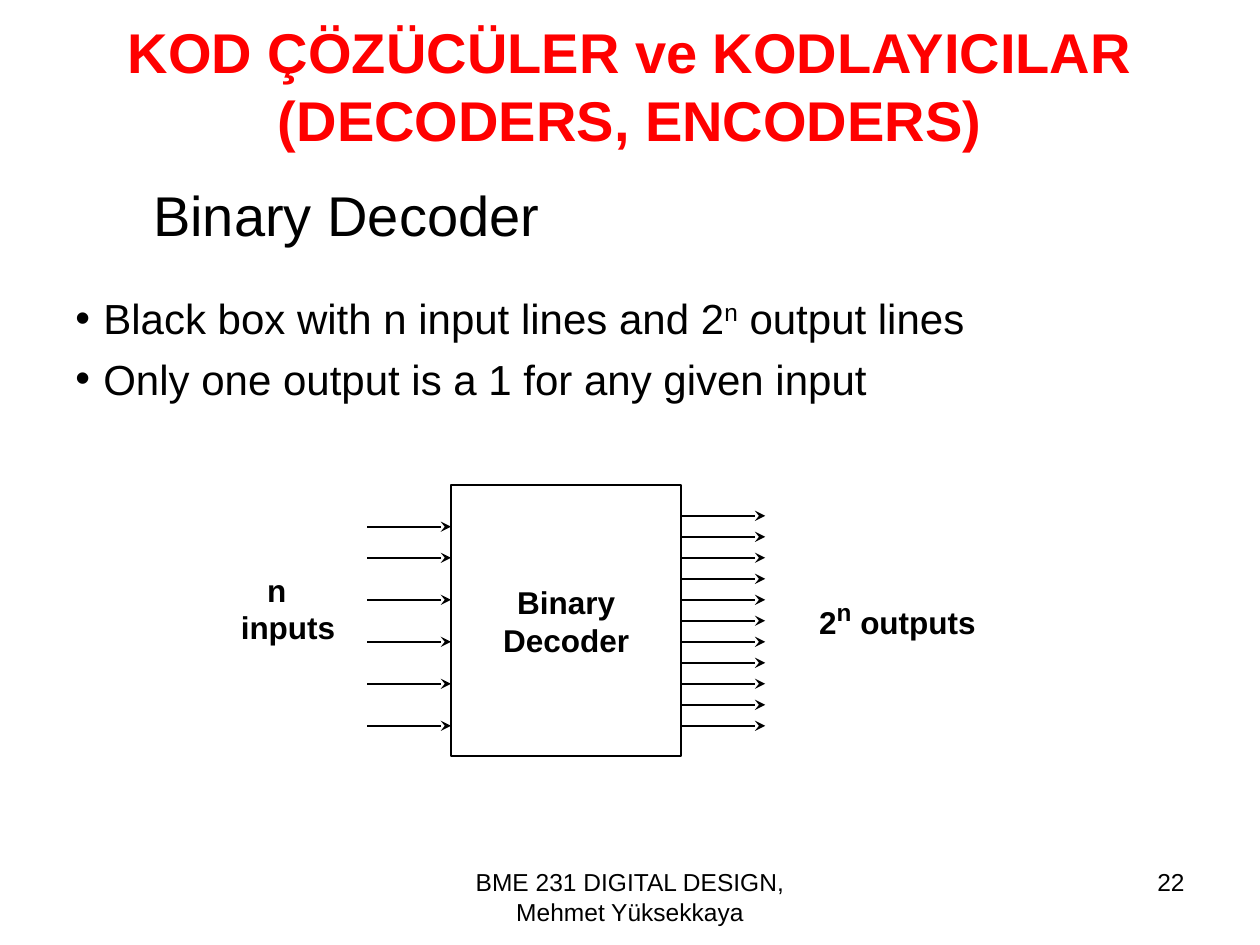
from lxml import etree
from pptx import Presentation
from pptx.dml.color import RGBColor
from pptx.enum import shapes, text
from pptx.oxml import ns
from pptx.util import Pt

BLACK = RGBColor(0, 0, 0)
WHITE = RGBColor(255, 255, 255)
RED = RGBColor(255, 0, 0)

LEFT, CENTER, RIGHT = text.PP_ALIGN.LEFT, text.PP_ALIGN.CENTER, text.PP_ALIGN.RIGHT
TOP, MIDDLE, BOTTOM = (text.MSO_ANCHOR.TOP, text.MSO_ANCHOR.MIDDLE,
                       text.MSO_ANCHOR.BOTTOM)

BOX = (257.75, 277.25, 131.5, 155)
LINE_LENGTH = 48
INPUT_YS = [301] + [318.75 + 24 * i for i in range(5)]
OUTPUT_YS = [294.75 + 12 * i for i in range(11)]


def add_child(parent, tag, **attributes):
    return etree.SubElement(parent, ns.qn(tag), attributes)


def place(sp, x, y, w, h):
    sp.left, sp.top, sp.width, sp.height = Pt(x), Pt(y), Pt(w), Pt(h)


def write(sp, paragraphs, size, align=LEFT, anchor=TOP, wrap=True,
          bold=False, color=BLACK, bullet=False):
    """Fill a shape; a paragraph is a list of (text, overrides) runs."""
    tf = sp.text_frame
    frame_format = {"word_wrap": wrap, "vertical_anchor": anchor,
                    "auto_size": text.MSO_AUTO_SIZE.NONE}
    for name, value in frame_format.items():
        setattr(tf, name, value)
    for i, runs in enumerate(paragraphs):
        p = tf.paragraphs[0] if i == 0 else tf.add_paragraph()
        p.alignment = align
        if bullet:
            add_bullet(p)
            if i:
                p.space_before = Pt(6)
        for content, overrides in runs:
            r = p.add_run()
            r.text = content
            font_format = {"name": "Arial", "size": Pt(size), "bold": bold}
            font_format.update(overrides)
            baseline = font_format.pop("baseline", None)
            for name, value in font_format.items():
                setattr(r.font, name, value)
            r.font.color.rgb = color
            if baseline:
                r._r.get_or_add_rPr().set("baseline", baseline)
    return tf


def add_bullet(p):
    pPr = p._p.get_or_add_pPr()
    indent(p, 16, -16)
    color = add_child(pPr, "a:buClr")
    add_child(color, "a:srgbClr", val=str(BLACK))
    add_child(pPr, "a:buFont", typeface="Arial")
    add_child(pPr, "a:buChar", char="•")


def indent(p, margin, first):
    pPr = p._p.get_or_add_pPr()
    pPr.set("marL", str(Pt(margin)))
    pPr.set("indent", str(Pt(first)))


def add_text(s, bounds, paragraphs, size, **options):
    sp = s.shapes.add_textbox(0, 0, 0, 0)
    place(sp, *bounds)
    return write(sp, paragraphs, size, **options)


def add_title(s, content):
    title = s.shapes.title
    place(title, 36, 3.6, 648, 90)
    write(title, [[(content, {})]], 32, align=CENTER, anchor=MIDDLE,
          bold=True, color=RED)


def add_decoder(s):
    sp = s.shapes.add_shape(shapes.MSO_SHAPE.RECTANGLE, 0, 0, 0, 0)
    place(sp, *BOX)
    sp.shadow.inherit = False
    sp.fill.solid()
    sp.fill.fore_color.rgb = WHITE
    sp.line.color.rgb = BLACK
    sp.line.width = Pt(1)
    write(sp, [[("Binary", {})], [("Decoder", {})]], 18, align=CENTER,
          anchor=MIDDLE, wrap=False, bold=True)
    return sp


def add_arrow(s, x, y):
    line = s.shapes.add_connector(shapes.MSO_CONNECTOR.STRAIGHT,
                                  Pt(x), Pt(y), Pt(x + LINE_LENGTH), Pt(y))
    line.line.color.rgb = BLACK
    line.line.width = Pt(1)
    add_child(line.line._get_or_add_ln(), "a:tailEnd", type="stealth")
    add_child(line._element.spPr, "a:effectLst")
    return line


def add_lines(s, decoder):
    x, y, w, h = BOX
    for line_y in INPUT_YS:
        add_arrow(s, x - LINE_LENGTH, line_y)
    for line_y in OUTPUT_YS:
        arrow = add_arrow(s, x + w, line_y)
        if line_y == y + h / 2:
            arrow.begin_connect(decoder, 3)


def main():
    prs = Presentation()
    prs.slide_width, prs.slide_height = Pt(720), Pt(540)
    s = prs.slides.add_slide(prs.slide_layouts[5])

    add_title(s, "KOD ÇÖZÜCÜLER ve KODLAYICILAR (DECODERS, ENCODERS)")
    add_text(s, (36, 103, 324, 42), [[("Binary Decoder", {})]], 32,
             align=CENTER, anchor=BOTTOM)
    add_text(s, (36, 163.5, 648, 356.5), [
        [("Black box with n input lines and 2", {}),
         ("n", {"baseline": "30000"}), (" output lines", {})],
        [("Only one output is a 1 for any given input", {})],
    ], 24, bullet=True)

    add_lines(s, add_decoder(s))
    inputs = add_text(s, (130.5, 322.5, 68.5, 50.5),
                      [[("n", {})], [("inputs", {})]], 18,
                      wrap=False, bold=True)
    indent(inputs.paragraphs[0], 15, 0)
    add_text(s, (461, 335, 104.5, 36), [
        [("2", {}), ("n", {"size": Pt(24), "baseline": "30000"}),
         (" outputs", {})],
    ], 18, wrap=False, bold=True)

    add_text(s, (246, 492, 228, 37.5),
             [[("BME 231 DIGITAL DESIGN, Mehmet Yüksekkaya", {})]], 14,
             align=CENTER)
    add_text(s, (516, 492, 168, 37.5), [[("22", {})]], 14, align=RIGHT)
    prs.save("out.pptx")


if __name__ == "__main__":
    main()
